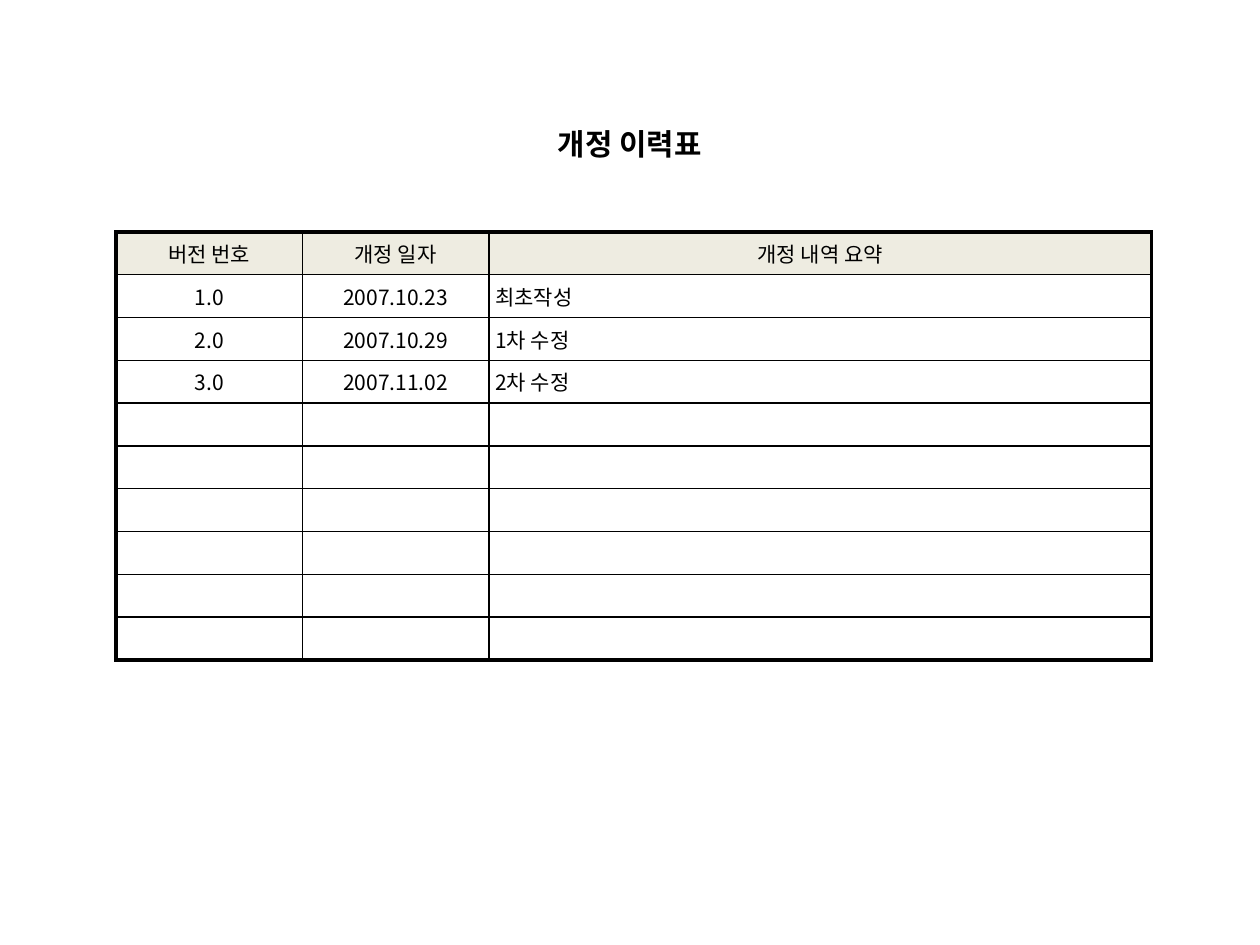
"""Build a revision history slide with a title and a ruled table."""
from lxml.etree import SubElement
from pptx import Presentation
from pptx.dml.color import RGBColor
from pptx.enum.text import MSO_ANCHOR, PP_ALIGN
from pptx.oxml.ns import qn
from pptx.util import Inches, Pt

BLACK = RGBColor(0, 0, 0)
CREAM = RGBColor(0xEE, 0xEC, 0xE1)
FACE = "Noto Sans CJK KR"
THIN, THICK = Pt(1), Pt(2.25)
HEAD = ("버전 번호", "개정 일자", "개정 내역 요약")
LOG = [
    ("1.0", "2007.10.23", "최초작성"),
    ("2.0", "2007.10.29", "1차 수정"),
    ("3.0", "2007.11.02", "2차 수정"),
]
ROWS = [HEAD] + LOG + [("", "", "")] * 6
WIDTHS = (1.48, 1.48, 5.26)
HIGH = 0.34


def write(para, text, size, bold=False):
    if not text:
        SubElement(para._p, qn("a:endParaRPr"), sz=str(size * 100))
        return
    run = para.add_run()
    run.text = text
    run.font.color.rgb = BLACK
    for key, val in {"name": FACE, "size": Pt(size), "bold": bold}.items():
        setattr(run.font, key, val)
    SubElement(run._r.get_or_add_rPr(), qn("a:ea"), typeface=FACE)


def rule(cell, side, width):
    line = SubElement(cell._tc.get_or_add_tcPr(), qn("a:ln" + side), w=str(width))
    fill = SubElement(line, qn("a:solidFill"))
    SubElement(fill, qn("a:srgbClr"), val=str(BLACK))


deck = Presentation()
deck.slide_width, deck.slide_height = Inches(10), Inches(7.5)
slide = deck.slides.add_slide(deck.slide_layouts[6])

title = slide.shapes.add_textbox(Inches(2.92), Inches(0.97), Inches(4.16), Inches(HIGH))
frame = title.text_frame
inset = {
    "margin_left": Inches(0.06), "margin_right": Inches(0.06),
    "margin_top": Inches(0.03), "margin_bottom": Inches(0.03),
}
for key, val in {**inset, "word_wrap": True}.items():
    setattr(frame, key, val)
frame.paragraphs[0].alignment = PP_ALIGN.CENTER
write(frame.paragraphs[0], "개정 이력표", 17, True)

last, end = len(ROWS) - 1, len(WIDTHS) - 1
table = slide.shapes.add_table(
    len(ROWS), len(WIDTHS), Inches(0.92), Inches(1.84),
    Inches(sum(WIDTHS)), Inches(HIGH * len(ROWS))).table
table.horz_banding = False
for col, wide in zip(table.columns, WIDTHS):
    col.width = Inches(wide)

pad = {
    "margin_left": Inches(0.05), "margin_right": Inches(0.05),
    "margin_top": Inches(0.03), "margin_bottom": Inches(0.03),
    "vertical_anchor": MSO_ANCHOR.MIDDLE,
}
for r, row in enumerate(ROWS):
    table.rows[r].height = Inches(HIGH)
    for c, text in enumerate(row):
        cell = table.cell(r, c)
        for key, val in pad.items():
            setattr(cell, key, val)
        edges = {"L": c == 0, "R": c == end, "T": r == 0, "B": r == last}
        for side, outer in edges.items():
            rule(cell, side, THICK if outer else THIN)
        if r == 0:
            cell.fill.solid()
            cell.fill.fore_color.rgb = CREAM
        else:
            cell.fill.background()
        para = cell.text_frame.paragraphs[0]
        left = r > 0 and c == end
        para.alignment = PP_ALIGN.LEFT if left else PP_ALIGN.CENTER
        write(para, text, 12)

deck.save("out.pptx")
